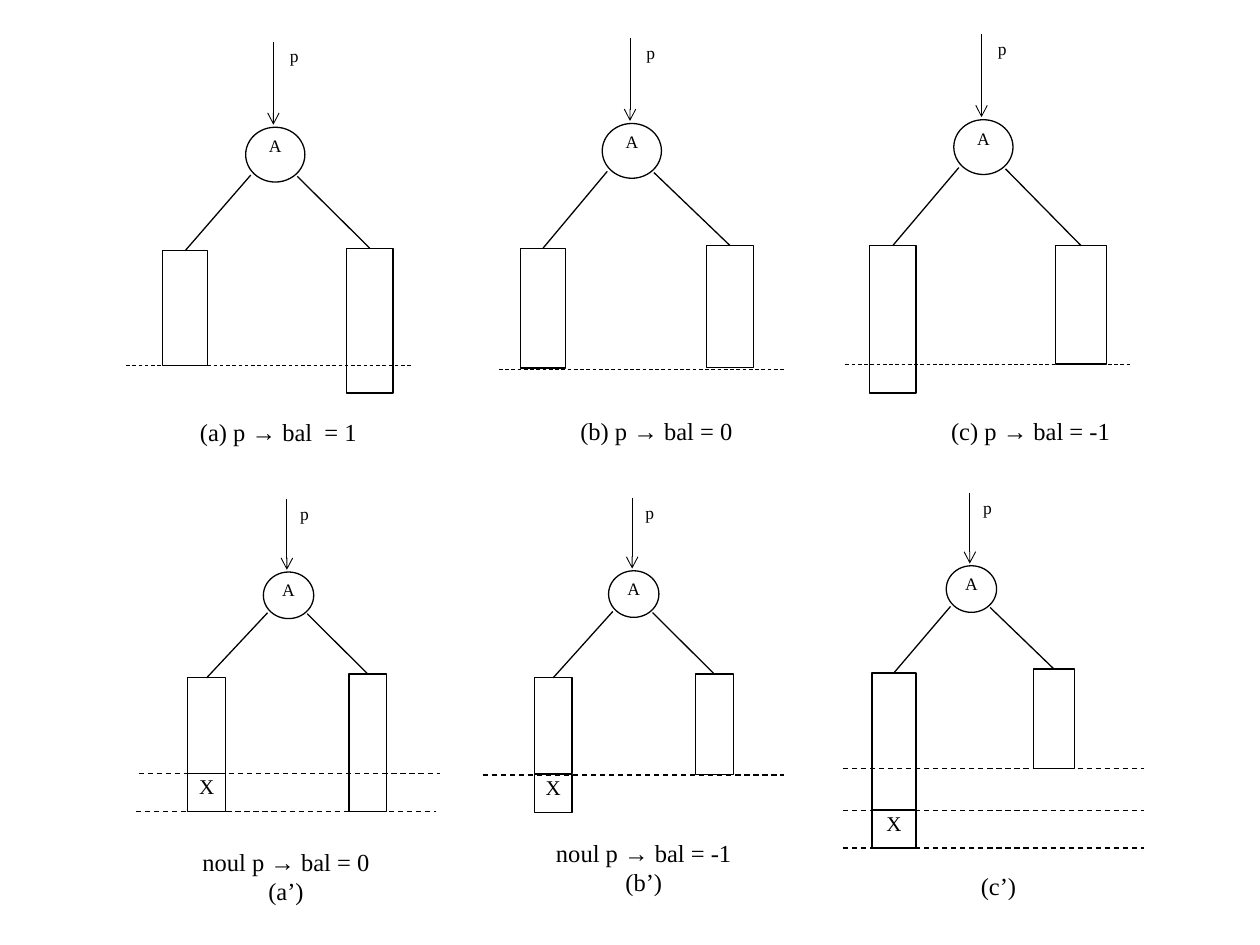
from lxml.etree import SubElement
from pptx import Presentation
from pptx.dml.color import RGBColor
from pptx.enum.dml import MSO_LINE
from pptx.enum.shapes import MSO_CONNECTOR, MSO_SHAPE
from pptx.enum.text import MSO_ANCHOR, PP_ALIGN
from pptx.oxml.ns import qn
from pptx.util import Inches, Pt

BLACK = RGBColor(0, 0, 0)
WHITE = RGBColor(255, 255, 255)
FONT = "Times New Roman"
COLS, ROWS = 100, 75

NODE = (0, 0, 4.7, 4.35)
POINTER_LABEL = (1.5, -6.9, 4.7, 5.8)
POINTER = (2.2, -6.8, 2.2, -0.2)
BRANCH_STARTS = ((0.4, 3.8), (4.1, 3.9))

TREES = [
    dict(node=(19.5, 10.1), scale=1, left=(12.9, 19.9, 3.6, 9.1), right=(27.5, 19.7, 3.7, 11.5),
         levels=[(10, 32.7, 29)], level_width=0.5,
         caption=["(a) p → bal  = 1"], caption_box=(14.2, 33.1, 15.8, 4.4)),
    dict(node=(47.8, 9.8), scale=1, left=(41.3, 19.7, 3.6, 9.5), right=(56.1, 19.5, 3.7, 9.7),
         levels=[(39.6, 62.3, 29.3)], level_width=0.5,
         caption=["(b) p → bal = 0"], caption_box=(44.2, 33, 15.8, 4.5)),
    dict(node=(75.7, 9.5), scale=1, left=(69, 19.5, 3.7, 11.7), right=(83.8, 19.5, 4, 9.4),
         levels=[(67.1, 89.8, 28.9)], level_width=0.5,
         caption=["(c) p → bal = -1"], caption_box=(73.6, 33, 16.4, 4.5)),
    dict(node=(20.9, 45.4), scale=0.85, left=(14.9, 53.8, 3, 7.6), right=(27.7, 53.5, 3, 10.9),
         inserted=(14.9, 61.4, 3, 3), levels=[(10.8, 34.6, 64.4), (11, 34.9, 61.4)],
         level_width=0.75,
         caption=["noul p → bal = 0", "(a’)"], caption_box=(14.2, 67.2, 17, 7)),
    dict(node=(48.3, 45.3), scale=0.85, left=(42.4, 53.8, 3, 7.6), right=(55.2, 53.5, 3, 8),
         inserted=(42.4, 61.5, 3, 3), levels=[(38.3, 62.2, 61.5)], level_width=0.75,
         caption=["noul p → bal = -1", "(b’)"], caption_box=(42.6, 66.5, 17, 7)),
    dict(node=(75.1, 44.9), scale=0.85, left=(69.2, 53.4, 3.5, 13.2), right=(82, 53.1, 3.3, 7.9),
         inserted=(69.2, 64.3, 3.5, 3),
         levels=[(66.9, 90.8, y) for y in (61, 64.3, 67.3)], level_width=0.75,
         caption=["(c’)"], caption_box=(76.8, 69.1, 4.9, 4.2)),
]

prs = Presentation()
prs.slide_width, prs.slide_height = Inches(10), Inches(7.5)
slide = prs.slides.add_slide(prs.slide_layouts[6])


def emu(values):
    units = (prs.slide_width / COLS, prs.slide_height / ROWS)
    return [round(v * units[i % 2]) for i, v in enumerate(values)]


def write(text, sp, size=10, inset=0):
    tf = sp.text_frame
    tf.word_wrap = True
    tf.vertical_anchor = MSO_ANCHOR.TOP
    tf.margin_left = tf.margin_right = tf.margin_top = tf.margin_bottom = Inches(inset)
    for i, line in enumerate(text):
        p = tf.add_paragraph() if i else tf.paragraphs[0]
        p.alignment = PP_ALIGN.CENTER
        r = p.add_run()
        r.text = line
        r.font.name, r.font.size = FONT, Pt(size)
        r.font.color.rgb = BLACK


def add_box(box, kind=MSO_SHAPE.RECTANGLE, outlined=True):
    sp = slide.shapes.add_shape(kind, *emu(box))
    sp.shadow.inherit = False
    sp.fill.solid()
    sp.fill.fore_color.rgb = WHITE
    if outlined:
        sp.line.color.rgb = BLACK
        sp.line.width = Pt(0.75)
    else:
        sp.line.fill.background()
    return sp


def add_line(ends, width=0.75, dashed=False, arrow=False):
    line = slide.shapes.add_connector(MSO_CONNECTOR.STRAIGHT, *emu(ends))
    line.line.color.rgb = BLACK
    line.line.width = Pt(width)
    if dashed:
        line.line.dash_style = MSO_LINE.DASH
    if arrow:
        SubElement(line.line._get_or_add_ln(), qn("a:tailEnd"), type="arrow")
    SubElement(line._element.spPr, qn("a:effectLst"))
    return line


def add_tree(tree):
    x, y = tree["node"]
    scale = tree["scale"]

    def at_node(box):
        return [x + box[0] * scale, y + box[1] * scale, box[2] * scale, box[3] * scale]

    def from_node(points):
        return [(x, y)[i % 2] + v * scale for i, v in enumerate(points)]

    write(["p"], add_box(at_node(POINTER_LABEL), outlined=False), inset=0.04)
    write(["A"], add_box(at_node(NODE), MSO_SHAPE.FLOWCHART_CONNECTOR))
    add_line(from_node(POINTER), width=0.5, arrow=True)

    for side, start in zip(("left", "right"), BRANCH_STARTS):
        left, top, width, _ = tree[side]
        subtree = add_box(tree[side])
        branch = add_line(from_node(start) + [left + width / 2, top])
        branch.end_connect(subtree, 0)
    if "inserted" in tree:
        write(["X"], add_box(tree["inserted"]), size=12)
    for start, end, level in tree["levels"]:
        add_line((start, level, end, level), width=tree["level_width"], dashed=True)
    write(tree["caption"], slide.shapes.add_textbox(*emu(tree["caption_box"])), size=14)


for tree in TREES:
    add_tree(tree)

prs.save("out.pptx")
